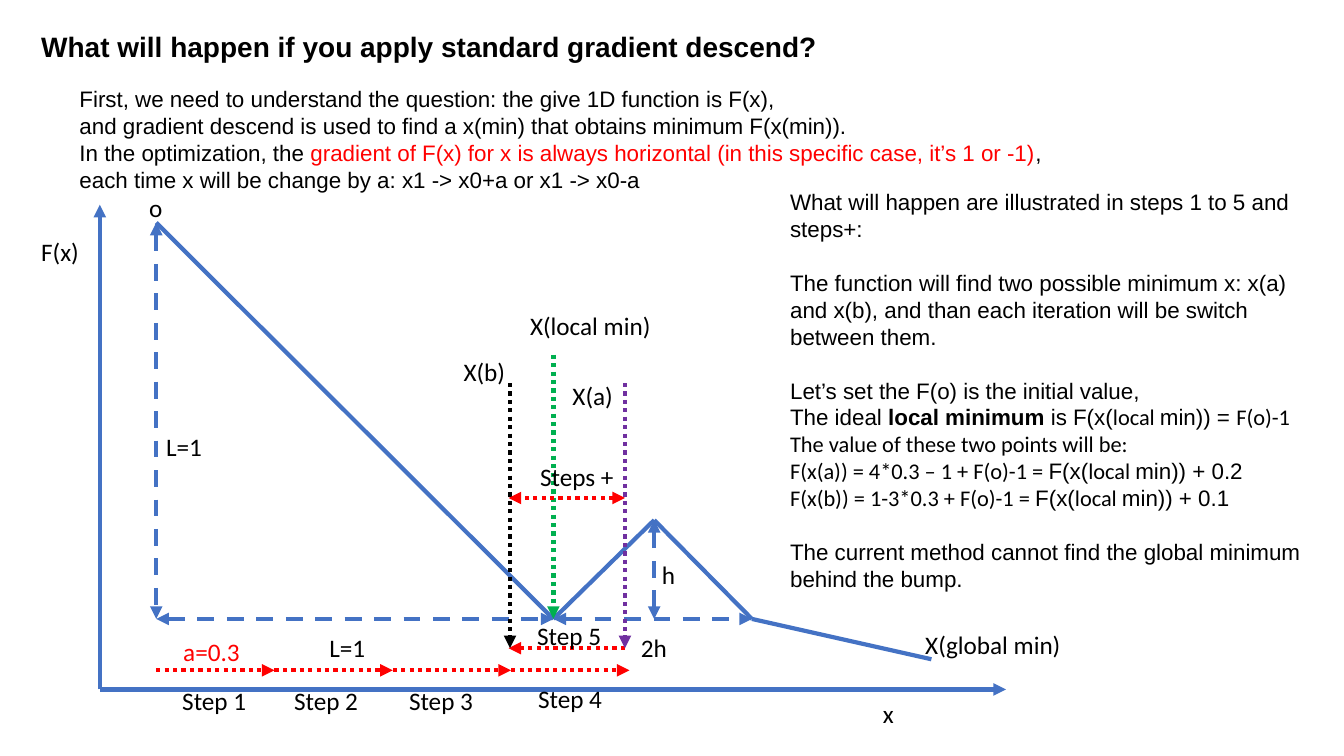
from dataclasses import dataclass
from itertools import pairwise

from lxml.etree import SubElement as Sub
from pptx import Presentation as Deck
from pptx.dml.color import RGBColor as Rgb
from pptx.enum.dml import MSO_LINE_DASH_STYLE as Dash
from pptx.enum.shapes import MSO_CONNECTOR_TYPE as Kind
from pptx.enum.text import MSO_AUTO_SIZE as Fit
from pptx.oxml.ns import qn
from pptx.slide import Slide
from pptx.text.text import Font
from pptx.util import Pt

HUES = {"ink": "000000", "blue": "4472C4", "red": "FF0000",
        "green": "00B050", "violet": "7030A0"}
SANS, BODY = "Arial", "Calibri"

# Key places of the curve and the axes
START, LOCAL, PEAK, FOOT = 111.6, 395.3, 467.3, 537.1
TOP, BUMP, FLOOR = 159.1, 371.5, 442.1
LEFT, BASE = 71.3, 492.5
XA, XB = 446.4, 364.3
STEP, TRACK, BACK = 84.5, 478.8, 463

Point = tuple[float, float]


@dataclass
class Line:
    start: Point
    end: Point
    hue: str = "blue"
    dash: Dash | None = None
    head: bool = False
    tail: bool = True


@dataclass
class Run:
    text: str
    font: str = SANS
    hue: str = "ink"
    bold: bool = False


@dataclass
class Para:
    runs: list[Run]
    gap: float = 0


@dataclass
class Box:
    left: float
    top: float
    width: float
    height: float
    paras: list[Para]
    size: float
    wrap: bool = False


def plain(text: str, gap: float = 0, font: str = SANS) -> Para:
    return Para([Run(text, font)], gap)


def label(text: str, left: float, top: float, width: float,
          hue: str = "ink") -> Box:
    return Box(left, top, width, 28.8, [Para([Run(text, BODY, hue)])], 18)


def span(start: Point, end: Point) -> Line:
    """Dashed measure with an arrowhead at both ends."""
    return Line(start, end, dash=Dash.DASH, head=True)


def dots(start: Point, end: Point, hue: str = "red",
         head: bool = False) -> Line:
    return Line(start, end, hue, Dash.ROUND_DOT, head)


def draw(slide: Slide, line: Line) -> None:
    link = slide.shapes.add_connector(
        Kind.STRAIGHT, *map(Pt, line.start + line.end))
    link.line.width = Pt(3)
    link.line.color.rgb = Rgb.from_string(HUES[line.hue])
    if line.dash is not None:
        link.line.dash_style = line.dash
    props = link.line._get_or_add_ln()
    for tag, shown in (("a:headEnd", line.head), ("a:tailEnd", line.tail)):
        if shown:
            Sub(props, qn(tag), type="triangle")
    Sub(link._element.spPr, qn("a:effectLst"))


def style(font: Font, run: Run) -> None:
    font.name = run.font
    font.bold = run.bold
    font.color.rgb = Rgb.from_string(HUES[run.hue])


def write(slide: Slide, box: Box) -> None:
    frame = slide.shapes.add_textbox(
        *map(Pt, (box.left, box.top, box.width, box.height))).text_frame
    frame.word_wrap = box.wrap
    frame.auto_size = Fit.SHAPE_TO_FIT_TEXT
    for i, item in enumerate(box.paras):
        para = frame.add_paragraph() if i else frame.paragraphs[0]
        if item.gap:
            para.space_before = Pt(item.gap)
        para.font.size = Pt(box.size)
        if len(item.runs) == 1:
            style(para.font, item.runs[0])
        for part in item.runs:
            run = para.add_run()
            run.text = part.text
            if len(item.runs) > 1:
                style(run.font, part)


def value(start: str, end: str) -> Para:
    """Height of one of the two points, measured from the local minimum."""
    return Para([Run(start, BODY), Run("F(x("), Run("local ", BODY),
                 Run(end)])


GAP = 19.3
CURVE = [(START, TOP), (LOCAL, FLOOR), (PEAK, BUMP), (FOOT, FLOOR),
         (665.3, 470.9)]
LINES = [
    span((START, TOP), (START, FLOOR)),
    span((START, FLOOR), (LOCAL, FLOOR)),
    span((LOCAL, FLOOR), (FOOT, FLOOR)),
    span((PEAK, FLOOR), (PEAK, BUMP)),
    *(Line(a, b, tail=False) for a, b in pairwise(CURVE)),
    Line((LEFT, BASE), (718.6, BASE)),
    Line((LEFT, BASE), (LEFT, 146.2)),
    *(dots((START + i * STEP, TRACK), (START + (i + 1) * STEP, TRACK))
      for i in range(4)),
    dots((XA, BACK), (XB - 1, BACK)),
    dots((LOCAL, 253.4), (LOCAL, FLOOR), "green"),
    dots((XA, 273.6), (XA, BACK), "violet"),
    dots((XB, 273.6), (XB, BACK), "ink"),
    dots((XA, 355.7), (XB - 1, 355.7), head=True),
]

INTRO = [
    plain("First, we need to understand the question: "
          "the give 1D function is F(x),"),
    plain("and gradient descend is used to find a x(min) "
          "that obtains minimum F(x(min))."),
    Para([Run("In the optimization, the "),
          Run("gradient of F(x) for x is always horizontal "
              "(in this specific case, it’s 1 or -1)", hue="red"),
          Run(",")]),
    plain("each time x will be change by a: x1 -> x0+a or x1 -> x0-a"),
]
NOTES = [
    plain("What will happen are illustrated in steps 1 to 5 and steps+:"),
    plain("The function will find two possible minimum x: x(a) and x(b), "
          "and than each iteration will be switch between them.", GAP),
    plain("Let’s set the F(o) is the initial value,", GAP),
    Para([Run("The ideal "), Run("local minimum ", bold=True),
          Run("is F(x("), Run("local ", BODY), Run("min)) = "),
          Run("F(o)-1", BODY)]),
    plain("The value of these two points will be:", font=BODY),
    value("F(x(a)) = 4*0.3 – 1 + F(o)-1 = ", "min)) + 0.2"),
    value("F(x(b)) = 1-3*0.3 + F(o)-1 = ", "min)) + 0.1"),
    plain("The current method cannot find the global minimum "
          "behind the bump.", GAP),
]
TITLE = Run("What will happen if you apply standard gradient descend?",
            bold=True)
STEPS = [(123.1, 486), (203, 486), (285.1, 486), (377.3, 484.6),
         (376.6, 439.2)]
BOXES = [
    Box(22.3, 17.3, 578.2, 31.7, [Para([TITLE])], 20),
    Box(49.7, 57.6, 762.5, 85, INTRO, 16, True),
    Box(557.3, 131, 379.4, 307.4, NOTES, 16, True),
    label("L=1", 228.2, 447.8, 40.3),
    label("L=1", START, 304.6, 40.3),
    label("2h", 450.7, 447.8, 33.1),
    label("h", 465.8, 396, 24.5),
    label("o", 99.4, 133.9, 24.5),
    label("F(x)", 22.3, 165.6, 41.8),
    label("x", 623.5, 495.4, 22.3),
    label("X(a)", 401.8, 267.8, 43.9),
    label("X(b)", 324, 251.3, 44.6),
    label("X(local min)", 371.5, 218.2, 101.5),
    label("X(global min)", 653.8, 445.7, 112.3),
    label("Steps +", 378.7, 326.2, 67.7),
    label("a=0.3", 123.8, 450.7, 55.4, "red"),
    *(label(f"Step {i}", x, y, 60.5)
      for i, (x, y) in enumerate(STEPS, 1)),
]


def main() -> None:
    deck = Deck()
    deck.slide_width, deck.slide_height = Pt(960), Pt(540)
    slide = deck.slides.add_slide(deck.slide_layouts[6])
    for line in LINES:
        draw(slide, line)
    for box in BOXES:
        write(slide, box)
    deck.save("out.pptx")


if __name__ == "__main__":
    main()
